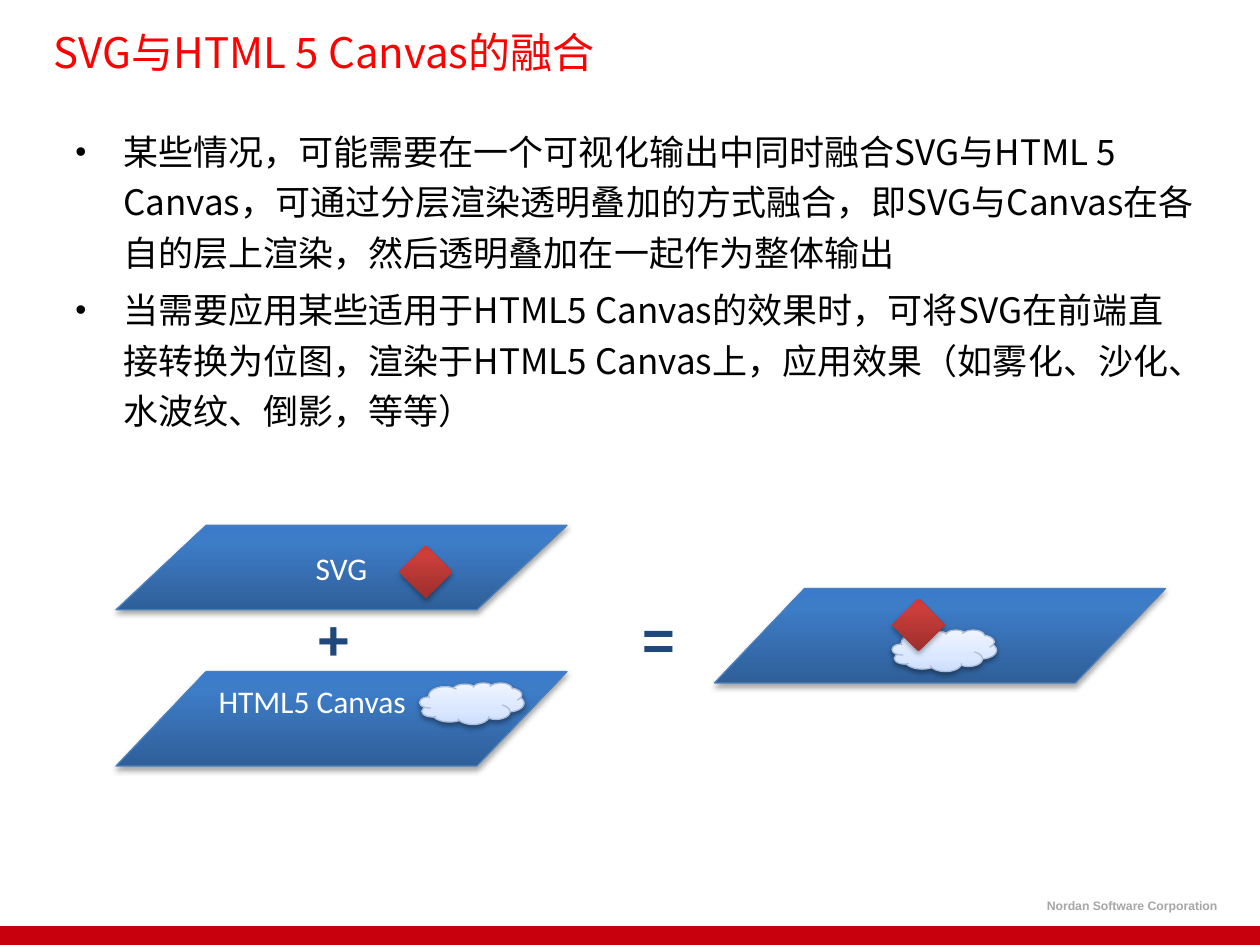
from lxml import etree
from pptx import Presentation
from pptx.dml.color import RGBColor
from pptx.enum.shapes import MSO_SHAPE
from pptx.enum.text import MSO_ANCHOR, PP_ALIGN
from pptx.oxml.ns import qn
from pptx.util import Inches, Pt

SLAB, DIAMOND, CLOUD = (MSO_SHAPE.FLOWCHART_DATA, MSO_SHAPE.DIAMOND,
                        MSO_SHAPE.CLOUD)
RECTANGLE = MSO_SHAPE.RECTANGLE
MIDDLE, TOP = MSO_ANCHOR.MIDDLE, MSO_ANCHOR.TOP
LEFT, CENTER = PP_ALIGN.LEFT, PP_ALIGN.CENTER

RED = RGBColor(0xFF, 0x00, 0x00)
BAR_RED = RGBColor(0xC8, 0x00, 0x0E)
GREY = RGBColor(0xA6, 0xA6, 0xA6)
NAVY = RGBColor(0x1F, 0x49, 0x7D)
BLACK = RGBColor(0x00, 0x00, 0x00)
WHITE = RGBColor(0xFF, 0xFF, 0xFF)
SLAB_LINE = RGBColor(0x4B, 0x7E, 0xBC)
CLOUD_LINE = RGBColor(0xAD, 0xBC, 0xD7)
# Gradient stops from bottom to top: (percent, colour)
SLAB_STOPS = [(0, RGBColor(0x2F, 0x5F, 0x99)), (80, RGBColor(0x3D, 0x7C, 0xC7)),
              (100, RGBColor(0x3A, 0x7C, 0xCB))]
DIAMOND_STOPS = [(0, RGBColor(0x9C, 0x2F, 0x2D)), (80, RGBColor(0xCB, 0x3E, 0x3A)),
                 (100, RGBColor(0xCE, 0x3B, 0x37))]
CLOUD_STOPS = [(0, RGBColor(0xCC, 0xDE, 0xFF)), (35, RGBColor(0xDA, 0xE7, 0xFF)),
               (100, RGBColor(0xF0, 0xF5, 0xFF))]

CJK = "Noto Sans CJK SC"
BULLETS = [
    "某些情况，可能需要在一个可视化输出中同时融合SVG与HTML 5 Canvas，可通过分层渲染"
    "透明叠加的方式融合，即SVG与Canvas在各自的层上渲染，然后透明叠加在一起作为整体输出",
    "当需要应用某些适用于HTML5 Canvas的效果时，可将SVG在前端直接转换为位图，渲染于"
    "HTML5 Canvas上，应用效果（如雾化、沙化、水波纹、倒影，等等）",
]


def add_run(p, text, font, size, color, bold=False):
    r = p.add_run()
    r.text = text
    r.font.name, r.font.size, r.font.bold = font, Pt(size), bold
    r.font.color.rgb = color
    etree.SubElement(r.font._element, qn("a:ea"), typeface=font)


def add_text(s, x, y, w, h, text, font, size, color, bold=False, wrap=False,
             anchor=TOP):
    tf = s.shapes.add_textbox(Inches(x), Inches(y), Inches(w), Inches(h)).text_frame
    tf.word_wrap, tf.vertical_anchor = wrap, anchor
    add_run(tf.paragraphs[0], text, font, size, color, bold)


def add_solid(s, kind, x, y, w, h, stops, line=None, alpha=35, dist=1.8):
    """Add a shape with a vertical gradient and a soft shadow below it."""
    sp = s.shapes.add_shape(kind, Inches(x), Inches(y), Inches(w), Inches(h))
    sp.fill.gradient()
    sp.fill.gradient_angle = 90
    gs_list = sp._element.spPr.find(".//" + qn("a:gsLst"))
    for gs in list(gs_list):
        gs_list.remove(gs)
    for pos, color in stops:
        gs = etree.SubElement(gs_list, qn("a:gs"), pos=str(pos * 1000))
        etree.SubElement(gs, qn("a:srgbClr"), val=str(color))
    if line is None:
        sp.line.fill.background()
    else:
        sp.line.color.rgb, sp.line.width = line, Pt(0.75)
    sp.shadow.inherit = False
    shadow = etree.SubElement(
        sp._element.spPr.find(qn("a:effectLst")), qn("a:outerShdw"),
        blurRad=str(Pt(3.1)), dist=str(Pt(dist)), dir="5400000", rotWithShape="0")
    color = etree.SubElement(shadow, qn("a:srgbClr"), val="000000")
    etree.SubElement(color, qn("a:alpha"), val=str(alpha * 1000))
    return sp


def add_slab(s, x, y, h, label=None, align=CENTER, bottom=0.05):
    sp = add_solid(s, SLAB, x, y, 3.58, h, SLAB_STOPS, SLAB_LINE)
    if label:
        tf = sp.text_frame
        tf.vertical_anchor, tf.margin_bottom = MIDDLE, Inches(bottom)
        tf.paragraphs[0].alignment = align
        add_run(tf.paragraphs[0], label, "Calibri", 18, WHITE)


def add_diamond(s, x, y):
    add_solid(s, DIAMOND, x, y, 0.42, 0.42, DIAMOND_STOPS)


def add_cloud(s, x, y):
    add_solid(s, CLOUD, x, y, 0.83, 0.33, CLOUD_STOPS, CLOUD_LINE, 38, 1.6)


def add_footer(s):
    bar = s.shapes.add_shape(RECTANGLE, 0, Inches(7.35), Inches(10), Inches(0.15))
    bar.shadow.inherit = False
    bar.fill.solid()
    bar.fill.fore_color.rgb = BAR_RED
    bar.line.fill.background()
    add_text(s, 8.21, 7.08, 1.58, 0.22, "Nordan Software Corporation", "Arial", 7,
             GREY, bold=True)


def add_bullets(s, x, y, w, h):
    tf = s.shapes.add_textbox(Inches(x), Inches(y), Inches(w), Inches(h)).text_frame
    tf.word_wrap = True
    for i, text in enumerate(BULLETS):
        p = tf.add_paragraph() if i else tf.paragraphs[0]
        p.line_spacing, p.space_before = 1.2, Pt(4)
        pPr = p._p.get_or_add_pPr()
        pPr.set("marL", str(Inches(0.38)))
        pPr.set("indent", str(-Inches(0.38)))
        etree.SubElement(pPr, qn("a:buSzPct"), val="90000")
        etree.SubElement(pPr, qn("a:buFont"), typeface="Arial")
        etree.SubElement(pPr, qn("a:buChar"), char="•")
        add_run(p, text, CJK, 20, BLACK)


def add_layers(s, x, y):
    """Add the SVG and canvas layers and the plus sign between them."""
    add_slab(s, x, y, 0.67, "SVG")
    add_diamond(s, x + 2.25, y + 0.16)
    add_text(s, x + 1.5, y + 0.58, 0.46, 0.64, "+", "Arial", 32, NAVY, bold=True)
    add_slab(s, x, y + 1.16, 0.75, "HTML5 Canvas", LEFT, bottom=0.34)
    add_cloud(s, x + 2.41, y + 1.25)


def add_result(s, x, y):
    add_slab(s, x, y, 0.75)
    add_cloud(s, x + 1.41, y + 0.33)
    add_diamond(s, x + 1.41, y + 0.08)


def main():
    prs = Presentation()
    prs.slide_width, prs.slide_height = Inches(10), Inches(7.5)
    s = prs.slides.add_slide(prs.slide_layouts[6])
    add_footer(s)
    add_text(s, 0.33, 0.18, 8.08, 0.46, "SVG与HTML 5 Canvas的融合", CJK, 24, RED,
             wrap=True, anchor=MIDDLE)
    add_bullets(s, 0.5, 0.92, 9.08, 2.83)
    add_layers(s, 0.92, 4.17)
    add_text(s, 5, 4.75, 0.43, 0.64, "=", "Arial", 32, NAVY, bold=True)
    add_result(s, 5.67, 4.67)
    prs.save("out.pptx")


if __name__ == "__main__":
    main()
